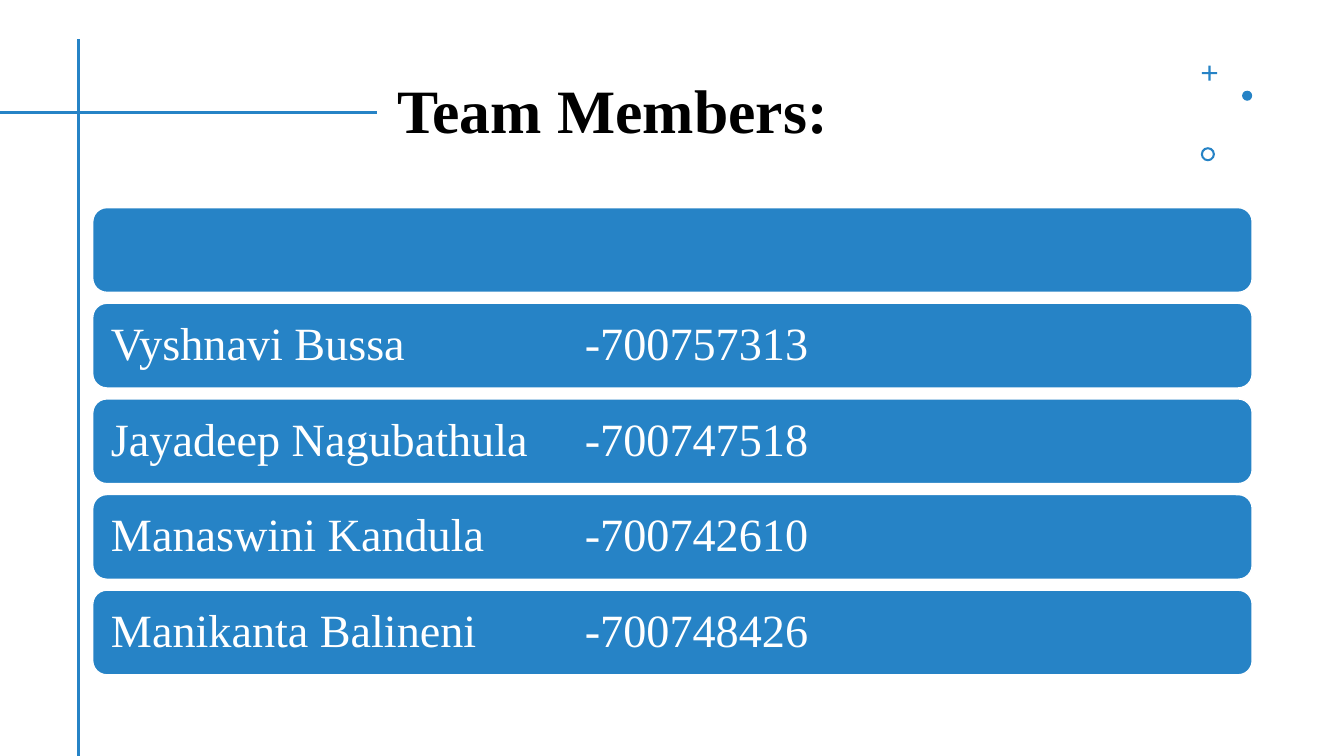
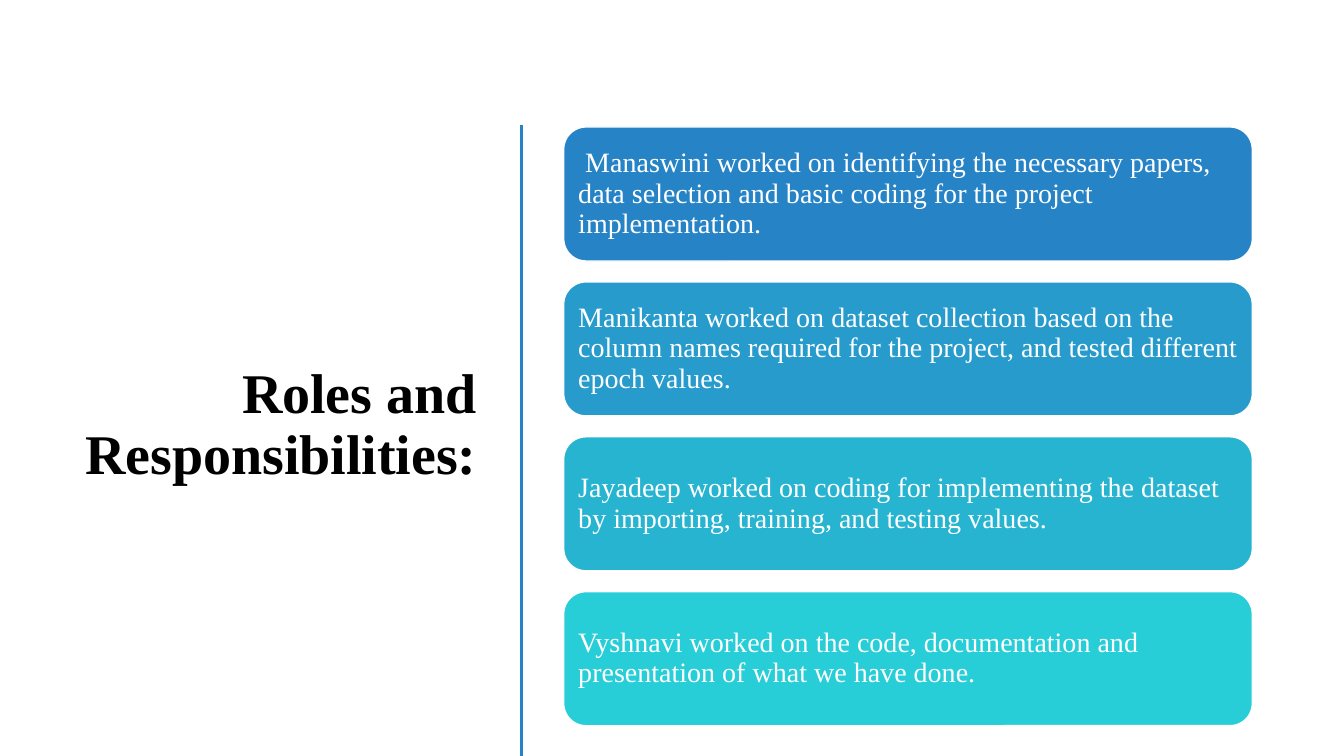
import lxml.etree
import pptx
import pptx.dml.color
import pptx.enum.shapes
import pptx.enum.text
import pptx.oxml.ns
import pptx.util

RGBColor = pptx.dml.color.RGBColor
Shape = pptx.enum.shapes.MSO_SHAPE
Align = pptx.enum.text.PP_ALIGN

BLUE = RGBColor(0x26, 0x83, 0xC6)
SKY = RGBColor(0x26, 0x9B, 0xCC)
TEAL = RGBColor(0x27, 0xB4, 0xD1)
AQUA = RGBColor(0x27, 0xCE, 0xD7)
BLACK = RGBColor(0x00, 0x00, 0x00)
WHITE = RGBColor(0xFF, 0xFF, 0xFF)
FONT = "Times New Roman"

SLIDE_WIDTH = pptx.util.Inches(13.33)
SLIDE_HEIGHT = pptx.util.Inches(7.5)
ID_TAB = pptx.util.Inches(4.7)

MEMBERS = [
    "",
    "Vyshnavi Bussa\t-700757313",
    "Jayadeep Nagubathula\t-700747518",
    "Manaswini Kandula\t-700742610",
    "Manikanta Balineni\t-700748426",
]
ROLES = [
    (" Manaswini worked on identifying the necessary papers, data selection "
     "and basic coding for the project implementation.", BLUE),
    ("Manikanta worked on dataset collection based on the column names "
     "required for the project, and tested different epoch values.", SKY),
    ("Jayadeep worked on coding for implementing the dataset by importing, "
     "training, and testing values.", TEAL),
    ("Vyshnavi worked on the code, documentation and presentation of what "
     "we have done.", AQUA),
]


def across(percent):
    return round(SLIDE_WIDTH * percent / 100)


def down(percent):
    return round(SLIDE_HEIGHT * percent / 100)


def area(left, top, width, height):
    """Turn percentages of the slide into a position and size."""
    return across(left), down(top), across(width), down(height)


def write(frame, text, size, color, bold=False, align=Align.LEFT, inset=None, tab=None):
    """Fill a text frame with one formatted paragraph."""
    frame.word_wrap = True
    frame.auto_size = pptx.enum.text.MSO_AUTO_SIZE.NONE
    frame.vertical_anchor = pptx.enum.text.MSO_ANCHOR.MIDDLE
    if inset is not None:
        frame.margin_left = frame.margin_right = pptx.util.Inches(inset)
        frame.margin_top = frame.margin_bottom = pptx.util.Inches(inset)
    paragraph = frame.paragraphs[0]
    paragraph.alignment = align
    paragraph.line_spacing = 0.9
    if tab is not None:
        properties = paragraph._p.get_or_add_pPr()
        stops = lxml.etree.SubElement(properties, pptx.oxml.ns.qn("a:tabLst"))
        lxml.etree.SubElement(stops, pptx.oxml.ns.qn("a:tab"), pos=str(tab), algn="l")
    run = paragraph.add_run()
    run.text = text
    run.font.name = FONT
    run.font.size = pptx.util.Pt(size)
    run.font.bold = bold
    run.font.color.rgb = color


def add_titled_slide(deck, title, place, size, align=Align.LEFT):
    slide = deck.slides.add_slide(deck.slide_layouts[5])
    heading = slide.shapes.title
    heading.left, heading.top, heading.width, heading.height = area(*place)
    write(heading.text_frame, title, size, BLACK, bold=True, align=align)
    return slide


def add_rule(slide, left, top, right, bottom):
    rule = slide.shapes.add_connector(
        pptx.enum.shapes.MSO_CONNECTOR.STRAIGHT,
        across(left), down(top), across(right), down(bottom))
    rule.line.color.rgb = BLUE
    rule.line.width = pptx.util.Pt(2)
    lxml.etree.SubElement(rule._element.spPr, pptx.oxml.ns.qn("a:effectLst"))


def add_filled(slide, preset, place, fill, outline=None, adjustment=None):
    shape = slide.shapes.add_shape(preset, *area(*place))
    shape.shadow.inherit = False
    shape.fill.solid()
    shape.fill.fore_color.rgb = fill
    if outline is None:
        shape.line.fill.background()
    else:
        shape.line.color.rgb = outline
        shape.line.width = pptx.util.Pt(1)
    if adjustment is not None:
        shape.adjustments[0] = adjustment
    return shape


def add_cards(slide, cards, first, pitch, **text_format):
    """Stack rounded cards downwards at an equal pitch."""
    left, top, width, height = first
    for row, (text, fill) in enumerate(cards):
        place = (left, top + row * pitch, width, height)
        card = add_filled(slide, Shape.ROUNDED_RECTANGLE, place, fill, outline=WHITE)
        if text:
            write(card.text_frame, text, color=WHITE, **text_format)


def add_corner_marks(slide):
    add_filled(slide, Shape.CROSS, (89.42, 8.67, 1.13, 2), BLUE, adjustment=0.43)
    add_filled(slide, Shape.OVAL, (92.42, 12, 0.75, 1.33), BLUE)
    add_filled(slide, Shape.DONUT, (89.35, 19.47, 1.05, 1.87), BLUE, adjustment=0.15)


def build_team(deck):
    slide = add_titled_slide(deck, "Team Members:", (28.8, 5.33, 58.74, 19.33), 44)
    add_rule(slide, 5.85, 5.2, 5.85, 100)
    add_rule(slide, 0, 14.93, 28.06, 14.93)
    add_corner_marks(slide)
    add_cards(slide, [(member, BLUE) for member in MEMBERS],
              (6.9, 27.47, 86.27, 11.2), 12.65, size=33, inset=0.14, tab=ID_TAB)


def build_roles(deck):
    slide = add_titled_slide(deck, "Roles and Responsibilities:",
                             (3.9, 15.6, 32.33, 81.47), 40, align=Align.RIGHT)
    add_rule(slide, 38.78, 16.53, 38.78, 100)
    add_cards(slide, ROLES, (41.94, 16.8, 51.24, 17.73), 20.49, size=20, inset=0.08)


def main():
    deck = pptx.Presentation()
    deck.slide_width = SLIDE_WIDTH
    deck.slide_height = SLIDE_HEIGHT
    build_team(deck)
    build_roles(deck)
    deck.save("out.pptx")


if __name__ == "__main__":
    main()
